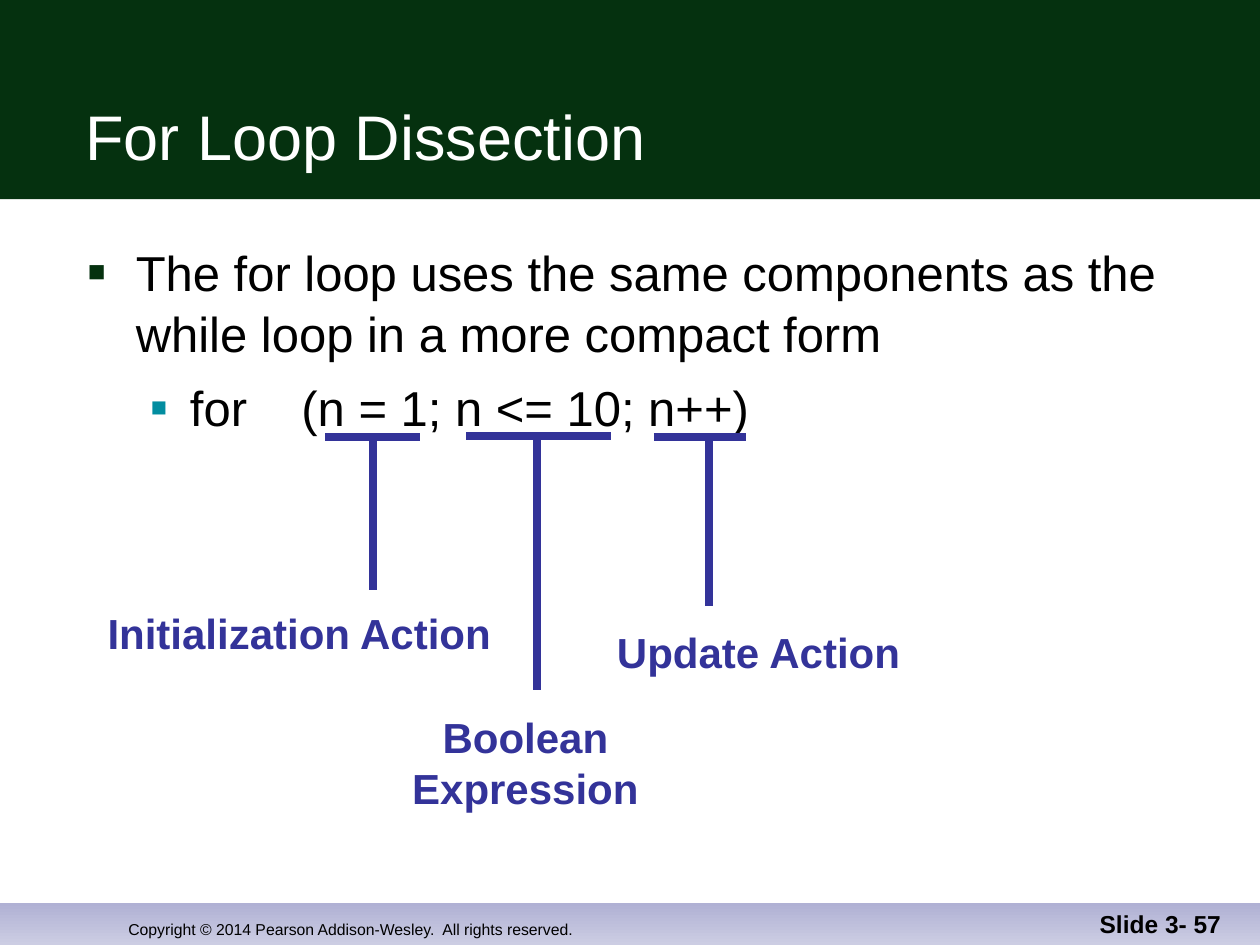
from lxml import etree
from pptx import Presentation, util as u
from pptx.dml.color import RGBColor
from pptx.enum import shapes, text
from pptx.oxml.ns import qn

WIDE, HIGH = 10, 7.5
GREEN, TEAL, INDIGO = "05310F", "028DA0", "333399"
BLACK, WHITE = "000000", "FFFFFF"
LEFT, MID, RIGHT = text.PP_ALIGN.LEFT, text.PP_ALIGN.CENTER, text.PP_ALIGN.RIGHT


def tint(code):
    return RGBColor.from_string(code)


class Deck:
    """Holds the style and the current slide; lengths are inches on a 10 by 7.5 grid."""

    font = "Arial"

    def __init__(self):
        self.show = Presentation()
        self.show.slide_width = u.Inches(WIDE)
        self.show.slide_height = u.Inches(HIGH)
        self.page = self.show.slides.add_slide(self.show.slide_layouts[6])

    def band(self, top, high, *codes):
        """Full-width bar: one colour is solid, two run from top to bottom."""
        bar = self.page.shapes.add_shape(
            shapes.MSO_SHAPE.RECTANGLE, 0, u.Inches(top), u.Inches(WIDE), u.Inches(high))
        bar.shadow.inherit = False
        bar.line.fill.background()
        if len(codes) == 1:
            bar.fill.solid()
            bar.fill.fore_color.rgb = tint(codes[0])
        else:
            bar.fill.gradient()
            bar.fill.gradient_angle = 270
            for stop, code in zip(bar.fill.gradient_stops, codes):
                stop.color.rgb = tint(code)

    def box(self, left, top, wide, high, low=False, wrap=True):
        area = self.page.shapes.add_textbox(*map(u.Inches, (left, top, wide, high)))
        frame = area.text_frame
        frame.word_wrap = wrap
        if low:
            frame.vertical_anchor = text.MSO_ANCHOR.BOTTOM
        return frame

    def run(self, para, words, size, code=BLACK, bold=False, gap=0):
        """Add one run; gap is extra letter spacing in points."""
        run = para.add_run()
        run.text = words
        font = run.font
        font.name, font.size, font.bold = self.font, u.Pt(size), bold
        font.color.rgb = tint(code)
        if gap:
            run._r.get_or_add_rPr().set("spc", str(round(gap * 100)))

    def label(self, spot, words, size, code=BLACK, bold=False, align=LEFT, **look):
        para = self.box(*spot, **look).paragraphs[0]
        para.alignment = align
        self.run(para, words, size, code, bold)

    def bullet(self, para, level, left, hang, code, share):
        """Square bullet; share is its size as a percentage of the text."""
        para.level = level
        para.line_spacing = 1.05
        props = para._p.get_or_add_pPr()
        props.set("marL", str(u.Inches(left)))
        props.set("indent", str(-u.Inches(hang)))
        paint = etree.SubElement(props, qn("a:buClr"))
        etree.SubElement(paint, qn("a:srgbClr"), val=code)
        etree.SubElement(props, qn("a:buSzPct"), val=str(share * 1000))
        etree.SubElement(props, qn("a:buFont"), typeface=self.font)
        etree.SubElement(props, qn("a:buChar"), char="■")

    def line(self, *ends):
        rule = self.page.shapes.add_connector(
            shapes.MSO_CONNECTOR.STRAIGHT, *map(u.Inches, ends))
        rule.line.color.rgb = tint(INDIGO)
        rule.line.width = u.Pt(4.5)
        etree.SubElement(rule._element.spPr, qn("a:effectLst"))

    def callout(self, words, start, end, top, stem, foot, spot):
        """Underline a part of the loop and lead down to its label."""
        self.line(start, top, end, top)
        self.line(stem, top, stem, foot)
        self.label(spot, words, 24, INDIGO, True, MID, wrap=False)


def main():
    deck = Deck()
    deck.band(7.17, 0.33, "B0B1D4", "CCCDE3")
    deck.band(0, 1.58, GREEN)
    deck.label((0.92, 7, 4.92, 0.5),
               "Copyright © 2014 Pearson Addison-Wesley.  All rights reserved.", 9, low=True)
    deck.label((0.58, 0.33, 9.08, 1.09), "For Loop Dissection", 36, WHITE, low=True)
    deck.label((7.71, 7, 2.08, 0.5), "Slide 3- 57", 14, bold=True, align=RIGHT, low=True)

    body = deck.box(0.6, 1.85, 9.07, 5)
    body.margin_right = 0
    point = body.paragraphs[0]
    deck.bullet(point, 0, 0.38, 0.38, GREEN, 60)
    deck.run(point, "The for loop uses the same components as the ", 28)
    point.add_line_break()
    deck.run(point, "while loop in a more compact form", 28)
    code = body.add_paragraph()
    deck.bullet(code, 1, 0.81, 0.31, TEAL, 55)
    code.space_before = u.Pt(7)
    deck.run(code, "for", 28)
    deck.run(code, " ", 28, gap=23.3)
    deck.run(code, "(n = 1; n <= 10; n++)", 28)

    parts = [
        ("Initialization Action", 2.58, 3.33, 3.47, 2.96, 4.68, (0.75, 4.77, 3.25, 0.5)),
        ("Boolean Expression", 3.7, 4.85, 3.46, 4.26, 5.48, (2.47, 5.6, 3.4, 0.5)),
        ("Update Action", 5.19, 5.92, 3.47, 5.63, 4.81, (4.79, 4.92, 2.46, 0.5)),
    ]
    for part in parts:
        deck.callout(*part)
    deck.show.save("out.pptx")


if __name__ == "__main__":
    main()
